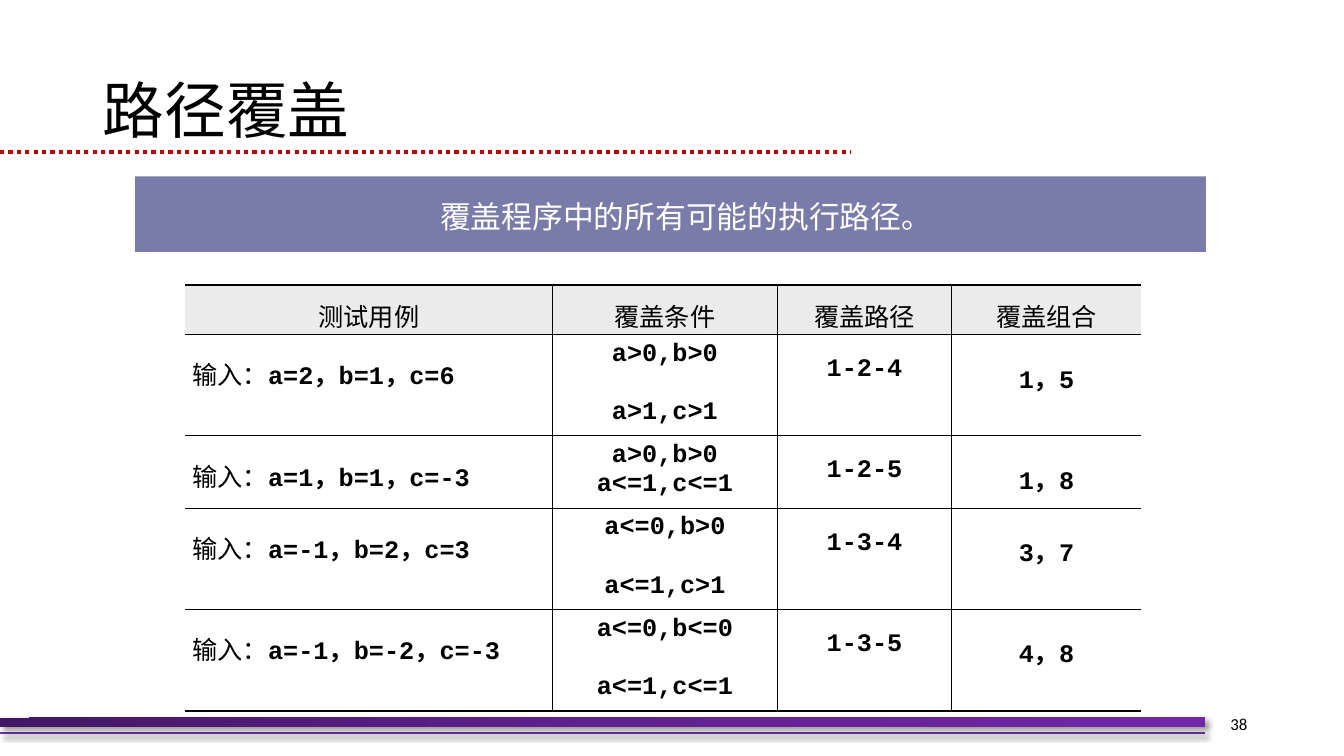
from itertools import groupby

from lxml import etree
from pptx import Presentation
from pptx.dml.color import RGBColor
from pptx.enum.dml import MSO_LINE
from pptx.enum.shapes import MSO_CONNECTOR, MSO_SHAPE
from pptx.enum.text import MSO_ANCHOR, PP_ALIGN
from pptx.oxml import parse_xml
from pptx.oxml.ns import nsdecls, qn
from pptx.util import Inches, Pt

STRAIGHT, RECTANGLE, DOTTED = MSO_CONNECTOR.STRAIGHT, MSO_SHAPE.RECTANGLE, MSO_LINE.ROUND_DOT
TOP, MIDDLE = MSO_ANCHOR.TOP, MSO_ANCHOR.MIDDLE
LEFT, CENTER, RIGHT = PP_ALIGN.LEFT, PP_ALIGN.CENTER, PP_ALIGN.RIGHT

SLIDE_WIDTH, SLIDE_HEIGHT = Inches(13.33), Inches(7.5)
TITLE_ONLY = 5
CJK, CODE, NUMBER = "Noto Sans CJK SC", "Courier New", "Calibri"
COLORS = {
    "ink": "000000",
    "paper": "FFFFFF",
    "banner": "797BA9",
    "header": "ECEBEB",
    "rule": "C00000",
    "footer": "7030A0",
}
FOOTER_GRADIENT = {0: "431764", 50: "5F218E", 100: "7128A8"}

COLUMN_SHARES = [27.31, 16.73, 12.98, 14.1]
HEADER_SHARE, CASE_SHARE = 6.53, 9.6
HEADINGS = ["测试用例", "覆盖条件", "覆盖路径", "覆盖组合"]
CASES = [
    ["输入：a=2，b=1，c=6", ["a>0,b>0", "a>1,c>1"], "1-2-4", "1，5"],
    ["输入：a=1，b=1，c=-3", ["a>0,b>0", "a<=1,c<=1"], "1-2-5", "1，8"],
    ["输入：a=-1，b=2，c=3", ["a<=0,b>0", "a<=1,c>1"], "1-3-4", "3，7"],
    ["输入：a=-1，b=-2，c=-3", ["a<=0,b<=0", "a<=1,c<=1"], "1-3-5", "4，8"],
]
TIGHT_CASE = 1
CONDITION_GAP = Pt(21)
NO_MARGINS = {f"margin_{side}": 0 for side in ("left", "top", "right", "bottom")}
HEADER_FORMAT = {**NO_MARGINS, "margin_top": Inches(0.12)}
CASE_FORMATS = [
    {**NO_MARGINS, "margin_left": Inches(0.07), "margin_top": Inches(0.21)},
    {**NO_MARGINS, "margin_top": Inches(0.05), "margin_bottom": Inches(0.05)},
    {**NO_MARGINS, "margin_top": Inches(0.21)},
    {**NO_MARGINS, "margin_top": Inches(0.24)},
]


def across(share):
    """Turn a percentage of the slide width into a length."""
    return round(SLIDE_WIDTH * share / 100)


def down(share):
    """Turn a percentage of the slide height into a length."""
    return round(SLIDE_HEIGHT * share / 100)


def place(left, top, width, height):
    """Turn four percentages into a position and a size."""
    return across(left), down(top), across(width), down(height)


def apply(target, values):
    """Set every attribute named in a dict of format values."""
    for name, value in values.items():
        setattr(target, name, value)


def color(name):
    """Look up a named colour."""
    return RGBColor.from_string(COLORS[name])


def write(paragraph, text, size, face=CJK, ink="ink", bold=False):
    """Add one formatted run to a paragraph."""
    run = paragraph.add_run()
    run.text = text
    apply(run.font, {"size": Pt(size), "name": face, "bold": bold})
    run.font.color.rgb = color(ink)
    etree.SubElement(run.font._element, qn("a:ea")).set("typeface", face)


def write_mixed(paragraph, text):
    """Write bold code and CJK words in their own fonts."""
    for is_code, letters in groupby(text, key=str.isascii):
        part = "".join(letters)
        write(paragraph, part, 18, CODE if is_code else CJK, bold=is_code or part == "，")


def cast_shadow(shape):
    """Give a footer element its soft diagonal shadow."""
    shape._element.spPr.append(parse_xml(
        f'<a:effectLst {nsdecls("a")}><a:outerShdw blurRad="50800" dist="38100" dir="2700000" '
        f'algn="tl" rotWithShape="0"><a:srgbClr val="{COLORS["ink"]}"><a:alpha val="40000"/>'
        '</a:srgbClr></a:outerShdw></a:effectLst>'))


def add_rule(slide, length, top, ink, weight):
    """Draw a horizontal rule from the left edge."""
    rule = slide.shapes.add_connector(STRAIGHT, 0, down(top), across(length), down(top))
    rule.line.color.rgb = color(ink)
    rule.line.width = Pt(weight)
    return rule


def add_bar(slide, area):
    """Add a rectangle without outline or shadow."""
    bar = slide.shapes.add_shape(RECTANGLE, *place(*area))
    bar.line.fill.background()
    return bar


def add_footer(slide):
    """Draw the gradient bar, its thin rule and the page number."""
    cast_shadow(add_rule(slide, 89.65, 96.93, "footer", 1.5))
    bar = add_bar(slide, (0, 94.93, 89.65, 1.2))
    bar.fill.gradient()
    stops = "".join(f'<a:gs pos="{position * 1000}"><a:srgbClr val="{shade}"/></a:gs>'
                    for position, shade in FOOTER_GRADIENT.items())
    properties = bar._element.spPr
    properties.replace(properties.find(qn("a:gradFill")), parse_xml(
        f'<a:gradFill {nsdecls("a")}><a:gsLst>{stops}</a:gsLst>'
        '<a:lin ang="2700000" scaled="1"/></a:gradFill>'))
    cast_shadow(bar)
    frame = slide.shapes.add_textbox(*place(85.37, 93.07, 8.18, 5.33)).text_frame
    apply(frame, {"word_wrap": True, "vertical_anchor": MIDDLE})
    frame.paragraphs[0].alignment = RIGHT
    write(frame.paragraphs[0], "38", 12, NUMBER)


def add_title(slide, text):
    """Place the title over its dotted rule."""
    title = slide.shapes.title
    apply(title, dict(zip(("left", "top", "width", "height"), place(6.9, 5.33, 86.27, 19.33))))
    title.text_frame.vertical_anchor = MIDDLE
    heading = title.text_frame.paragraphs[0]
    apply(heading, {"alignment": LEFT, "line_spacing": 0.9})
    write(heading, text, 44)
    rule = add_rule(slide, 63.32, 20.13, "rule", 3)
    rule.line.dash_style = DOTTED
    etree.SubElement(rule._element.spPr, qn("a:effectLst"))


def add_banner(slide, text):
    """Add the filled banner holding the definition."""
    banner = add_bar(slide, (10.05, 23.33, 79.67, 10))
    banner.shadow.inherit = False
    banner.fill.solid()
    banner.fill.fore_color.rgb = color("banner")
    apply(banner.text_frame, {**NO_MARGINS, "margin_left": Inches(0.31),
                              "margin_top": Inches(0.21),
                              "vertical_anchor": TOP, "word_wrap": True})
    banner.text_frame.paragraphs[0].alignment = CENTER
    write(banner.text_frame.paragraphs[0], text, 22, ink="paper")


def set_borders(cell, weights):
    """Set cell borders in points, hiding those of zero weight."""
    for side, weight in weights.items():
        paint = f'<a:solidFill><a:srgbClr val="{COLORS["ink"]}"/></a:solidFill>'
        cell._tc.get_or_add_tcPr().append(parse_xml(
            f'<a:ln{side} {nsdecls("a")} w="{Pt(weight)}">'
            f'{paint if weight else "<a:noFill/>"}</a:ln{side}>'))


def add_case_table(slide):
    """Build the table of test cases and the paths they cover."""
    last_row, last_column = len(CASES), len(HEADINGS) - 1
    table = slide.shapes.add_table(last_row + 1, last_column + 1,
                                   *place(13.8, 37.73, 71.12, 44.93)).table
    apply(table, {"first_row": False, "horz_banding": False})
    for column, share in zip(table.columns, COLUMN_SHARES):
        column.width = across(share)
    for r, entries in enumerate([HEADINGS, *CASES]):
        table.rows[r].height = down(CASE_SHARE if r else HEADER_SHARE)
        for c, entry in enumerate(entries):
            cell = table.cell(r, c)
            apply(cell, CASE_FORMATS[c] if r else HEADER_FORMAT)
            set_borders(cell, {"L": 1 if c else 0, "R": 1 if c < last_column else 0,
                               "T": 1 if r else 1.5, "B": 1 if r < last_row else 1.5})
            if r:
                cell.fill.background()
            else:
                cell.fill.solid()
                cell.fill.fore_color.rgb = color("header")
            for i, text in enumerate(entry if isinstance(entry, list) else [entry]):
                frame = cell.text_frame
                paragraph = frame.add_paragraph() if i else frame.paragraphs[0]
                paragraph.alignment = LEFT if r and c == 0 else CENTER
                if i and r - 1 != TIGHT_CASE:
                    paragraph.space_before = CONDITION_GAP
                if isinstance(entry, list):
                    paragraph.line_spacing = 1.02
                write_mixed(paragraph, text)


def main():
    """Build and save the path coverage slide."""
    deck = Presentation()
    apply(deck, {"slide_width": SLIDE_WIDTH, "slide_height": SLIDE_HEIGHT})
    slide = deck.slides.add_slide(deck.slide_layouts[TITLE_ONLY])
    add_footer(slide)
    add_title(slide, "路径覆盖")
    add_banner(slide, "覆盖程序中的所有可能的执行路径。")
    add_case_table(slide)
    deck.save("out.pptx")


if __name__ == "__main__":
    main()
